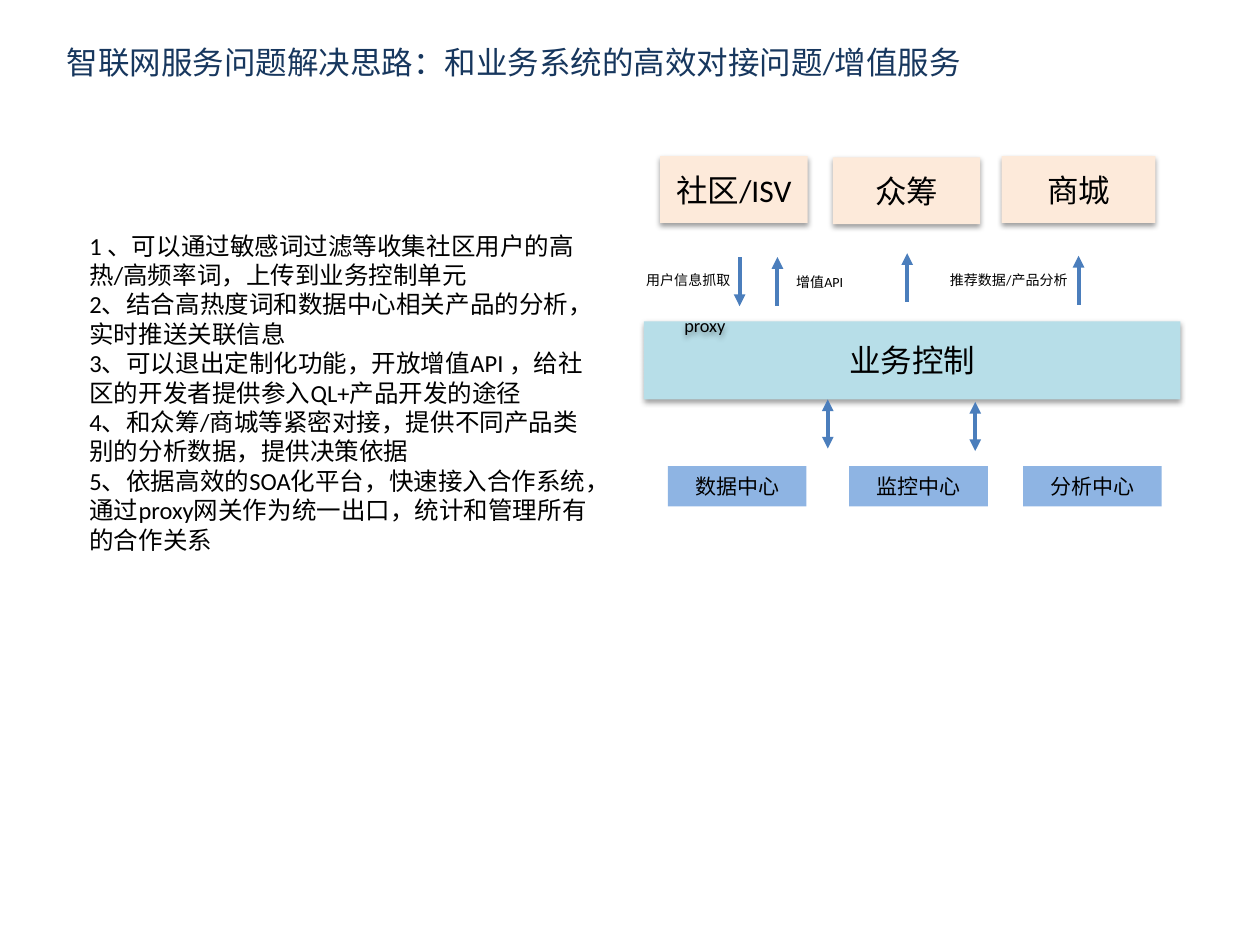
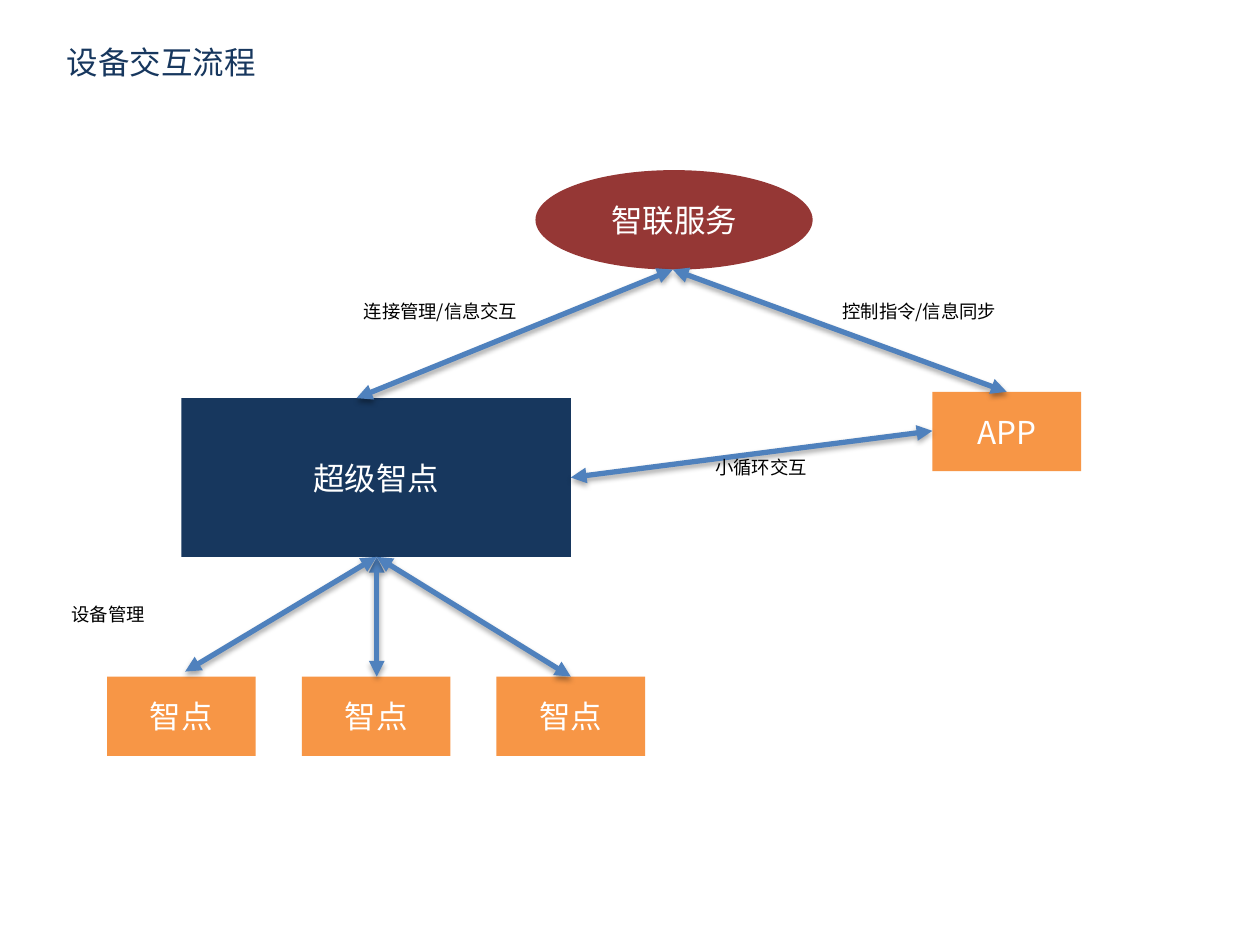
"""Build two slides: service integration and the device interaction flow."""
import lxml.etree
import pptx
import pptx.dml.color
import pptx.enum.shapes
import pptx.enum.text
import pptx.oxml.ns
import pptx.util

Inches, Pt, qn = pptx.util.Inches, pptx.util.Pt, pptx.oxml.ns.qn
SHAPE = pptx.enum.shapes.MSO_SHAPE
ALIGN = pptx.enum.text.PP_ALIGN
ANCHOR = pptx.enum.text.MSO_ANCHOR
CJK = "Noto Sans CJK SC"

COLORS = {
    "navy": "17375E", "black": "000000", "white": "FFFFFF", "peach": "FDEADA",
    "teal": "B7DEE8", "sky": "8EB4E3", "orange": "F79646", "red": "953735",
    "arrow": "4B7EBC", "link": "4F81BD",
}

SERVICE_TITLE = "智联网服务问题解决思路：和业务系统的高效对接问题/增值服务"
SERVICE_POINTS = [
    "1 、可以通过敏感词过滤等收集社区用户的高热/高频率词，上传到业务控制单元",
    "2、结合高热度词和数据中心相关产品的分析，实时推送关联信息",
    "3、可以退出定制化功能，开放增值API ，给社区的开发者提供参入QL+产品开发的途径",
    "4、和众筹/商城等紧密对接，提供不同产品类别的分析数据，提供决策依据",
    "5、依据高效的SOA化平台，快速接入合作系统，通过proxy网关作为统一出口，统计和管理所有的合作关系",
]
CHANNELS = [("社区/ISV", 5.24, 1.24, 1.17), ("众筹", 6.61, 1.25, 1.17), ("商城", 7.95, 1.24, 1.22)]
CENTERS = [("数据中心", 5.3), ("监控中心", 6.74), ("分析中心", 8.12)]
SERVICE_LABELS = [("用户信息抓取", 5.03, 2.11), ("增值API", 6.22, 2.12), ("推荐数据/产品分析", 7.44, 2.11)]
ARROW_LENGTH = 0.39
SERVICE_ARROWS = [
    (5.87, 2.04, ["tail"]), (6.17, 2.04, ["head"]), (7.2, 2.01, ["head"]),
    (8.56, 2.03, ["head"]), (6.57, 3.17, ["head", "tail"]), (7.74, 3.19, ["head", "tail"]),
]

FLOW_TITLE = "设备交互流程"
NODE_W, NODE_H = 1.18, 0.63
NODE_LEFT, NODE_TOP, NODE_STEP, NODE_COUNT = 0.85, 5.37, 1.545, 3
FLOW_BOXES = [
    ("超级智点", (1.44, 3.16, 3.09, 1.26), "navy", SHAPE.RECTANGLE),
    ("APP", (7.4, 3.11, NODE_W, NODE_H), "orange", SHAPE.RECTANGLE),
    ("智联服务", (4.25, 1.35, 2.2, 0.79), "red", SHAPE.OVAL),
] + [
    ("智点", (NODE_LEFT + i * NODE_STEP, NODE_TOP, NODE_W, NODE_H), "orange", SHAPE.RECTANGLE)
    for i in range(NODE_COUNT)
]
HUB, CLOUD = (2.99, 4.42), (5.34, 2.14)
FLOW_LINKS = [
    (HUB, (2.99, 5.37)), (HUB, (4.53, 5.37)), (CLOUD, (2.83, 3.16)),
    (CLOUD, (7.99, 3.11)), ((4.53, 3.79), (7.4, 3.42)), ((1.47, 5.33), HUB),
]
FLOW_LABELS = [
    ("小循环交互", 5.58, 3.57, 1.34), ("控制指令/信息同步", 6.59, 2.33, 1.62),
    ("连接管理/信息交互", 2.79, 2.33, 1.57), ("设备管理", 0.47, 4.74, 1.34),
]


def rgb(name):
    return pptx.dml.color.RGBColor.from_string(COLORS[name])


def write(tf, lines, size, font, color="black", align=ALIGN.LEFT, anchor=ANCHOR.TOP):
    frame = {"word_wrap": True, "auto_size": pptx.enum.text.MSO_AUTO_SIZE.NONE, "vertical_anchor": anchor}
    for key, value in frame.items():
        setattr(tf, key, value)
    for i, line in enumerate(lines):
        p = tf.add_paragraph() if i else tf.paragraphs[0]
        for key, value in {"alignment": align, "space_before": Pt(0), "line_spacing": 1.0}.items():
            setattr(p, key, value)
        r = p.add_run()
        for key, value in {"text": line}.items():
            setattr(r, key, value)
        for key, value in {"size": Pt(size), "name": font, "bold": False}.items():
            setattr(r.font, key, value)
        r.font.color.rgb = rgb(color)
        lxml.etree.SubElement(r.font._element, qn("a:ea"), typeface=CJK)


def place(sp, box):
    for key, value in zip(("left", "top", "width", "height"), box):
        setattr(sp, key, Inches(value))


def set_effect(sp, alpha=0, distance=0):
    spPr = sp._element.spPr
    for old in spPr.findall(qn("a:effectLst")):
        spPr.remove(old)
    effects = lxml.etree.SubElement(spPr, qn("a:effectLst"))
    if alpha:
        shadow = lxml.etree.SubElement(
            effects, qn("a:outerShdw"), blurRad="40000", dist=str(distance), dir="5400000", rotWithShape="0")
        color = lxml.etree.SubElement(shadow, qn("a:srgbClr"), val=COLORS["black"])
        lxml.etree.SubElement(color, qn("a:alpha"), val=str(alpha * 1000))


def add_title(s, text, width, font):
    place(s.shapes.title, (0.43, 0.29, width, 0.51))
    write(s.shapes.title.text_frame, [text], 18, font, "navy")


def add_points(s, lines, box):
    sp = s.placeholders[1]
    place(sp, box)
    write(sp.text_frame, lines, 14, "Calibri")
    for p in sp.text_frame.paragraphs:
        pPr = p._p.get_or_add_pPr()
        pPr.set("marL", "0")
        pPr.set("indent", "0")
        lxml.etree.SubElement(pPr, qn("a:buNone"))


def add_box(s, text, box, fill, size, font, color="black", kind=SHAPE.RECTANGLE, shadow=False):
    sp = s.shapes.add_shape(kind, *map(Inches, box))
    sp.fill.solid()
    sp.fill.fore_color.rgb = rgb(fill)
    sp.line.fill.background()
    sp.shadow.inherit = False
    if shadow:
        set_effect(sp, 38, 20000)
    write(sp.text_frame, [text], size, font, color, ALIGN.CENTER, ANCHOR.MIDDLE)


def add_label(s, text, box, size, font, **layout):
    sp = s.shapes.add_textbox(*map(Inches, box))
    write(sp.text_frame, [text], size, font, **layout)
    return sp


def add_arrow(s, start, end, color, width, ends, shadow=False):
    cx = s.shapes.add_connector(pptx.enum.shapes.MSO_CONNECTOR.STRAIGHT, *map(Inches, start + end))
    cx.line.color.rgb = rgb(color)
    cx.line.width = Pt(width)
    for end_name in ends:
        lxml.etree.SubElement(cx.line._get_or_add_ln(), qn(f"a:{end_name}End"), type="triangle")
    if shadow:
        set_effect(cx, 35, 23000)
    else:
        set_effect(cx)


def build_service(prs):
    s = prs.slides.add_slide(prs.slide_layouts[1])
    add_title(s, SERVICE_TITLE, 7.31, "Calibri")
    add_points(s, SERVICE_POINTS, (0.61, 1.78, 4.17, 2.69))
    for text, x, y, w in CHANNELS:
        add_box(s, text, (x, y, w, 0.53), "peach", 18, "Calibri", shadow=True)
    add_box(s, "业务控制", (5.11, 2.55, 4.26, 0.62), "teal", 18, "Calibri", shadow=True)
    proxy = add_label(s, "proxy", (5.01, 2.46, 1.17, 0.24), 10.5, "Calibri",
                      align=ALIGN.CENTER, anchor=ANCHOR.MIDDLE)
    set_effect(proxy, 38, 20000)
    for text, x in CENTERS:
        add_box(s, text, (x, 3.7, 1.1, 0.32), "sky", 12, "Calibri")
    for x, y, ends in SERVICE_ARROWS:
        add_arrow(s, (x, y), (x, y + ARROW_LENGTH), "arrow", 2.25, ends)
    for text, x, y in SERVICE_LABELS:
        add_label(s, text, (x, y, 1.22, 0.24), 8, "Calibri")


def build_flow(prs):
    s = prs.slides.add_slide(prs.slide_layouts[5])
    add_title(s, FLOW_TITLE, 5.91, CJK)
    for text, box, fill, kind in FLOW_BOXES:
        add_box(s, text, box, fill, 18, CJK, "white", kind)
    for start, end in FLOW_LINKS:
        add_arrow(s, start, end, "link", 3, ["head", "tail"], shadow=True)
    for text, x, y, w in FLOW_LABELS:
        add_label(s, text, (x, y, w, 0.28), 10.5, CJK)


def main():
    prs = pptx.Presentation()
    prs.slide_width, prs.slide_height = Inches(10), Inches(7.5)
    build_service(prs)
    build_flow(prs)
    prs.save("out.pptx")


if __name__ == "__main__":
    main()
